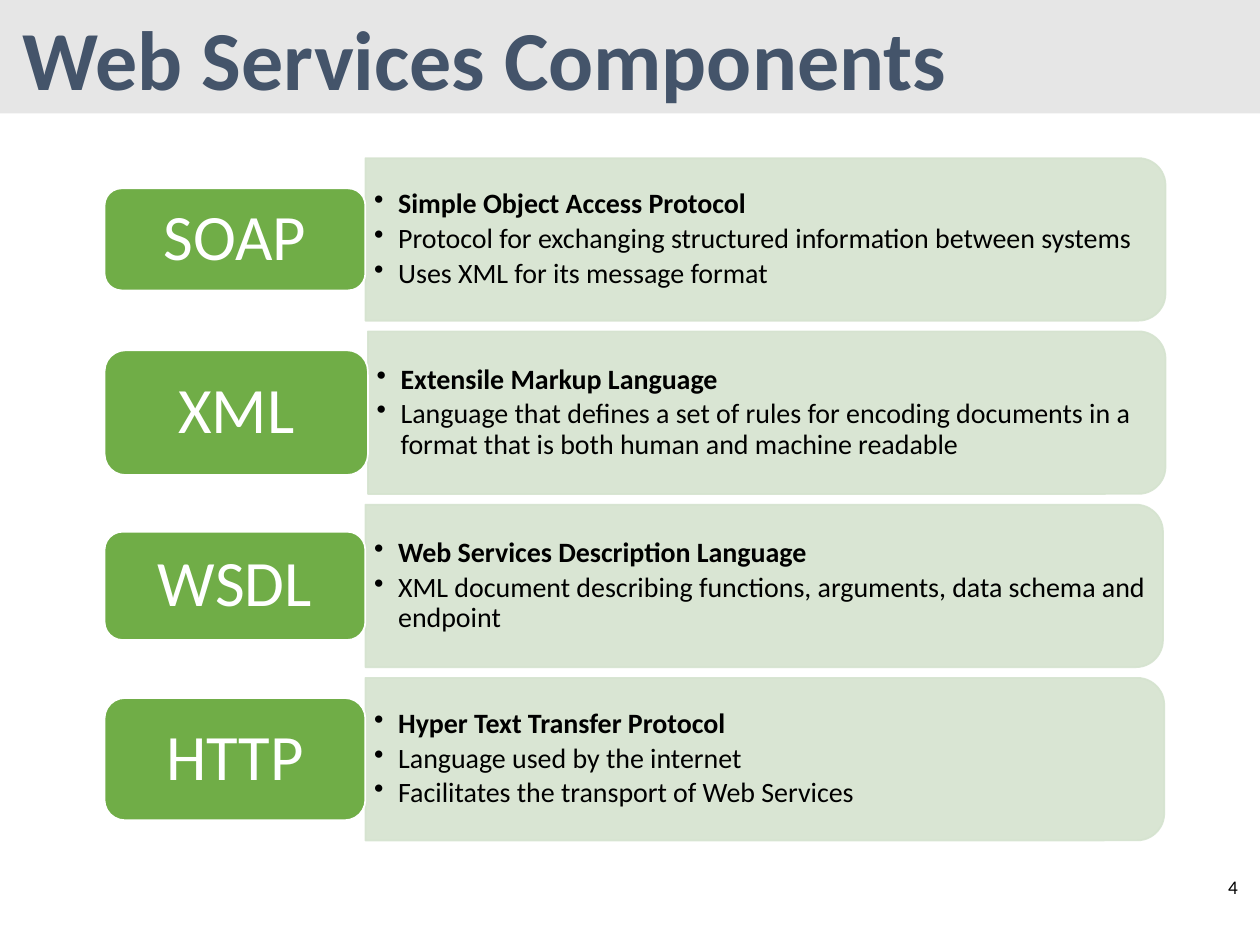
from dataclasses import dataclass

from lxml.etree import SubElement
from pptx import Presentation
from pptx.dml.color import RGBColor
from pptx.enum.shapes import MSO_SHAPE as Preset
from pptx.enum.text import MSO_ANCHOR as Anchor, PP_ALIGN as Align
from pptx.oxml.ns import qn
from pptx.util import Inches, Pt


@dataclass(frozen=True)
class Theme:
    """Colours, font and type sizes of the slide."""
    font: str = "Calibri"
    band: str = "E6E6E6"
    title: str = "44546A"
    panel: str = "D5E3CF"
    label: str = "70AD47"
    white: str = "FFFFFF"
    black: str = "000000"
    title_size: int = 48
    label_size: int = 37
    body_size: int = 16
    number_size: int = 11


THEME = Theme()
FIRST_CENTRE = 1.9
ROW_PITCH = 1.375
PANEL_HEIGHT = 1.29
LABEL_LEFT = 0.83
COMPONENTS = [
    ("SOAP", 0.81, 2.9, 6.35, [
        "Simple Object Access Protocol",
        "Protocol for exchanging structured information between systems",
        "Uses XML for its message format"]),
    ("XML", 0.99, 2.92, 6.33, [
        "Extensile Markup Language",
        "Language that defines a set of rules for encoding documents in a "
        "format that is both human and machine readable"]),
    ("WSDL", 0.86, 2.9, 6.33, [
        "Web Services Description Language",
        "XML document describing functions, arguments, data schema and endpoint"]),
    ("HTTP", 0.97, 2.9, 6.34, [
        "Hyper Text Transfer Protocol",
        "Language used by the internet",
        "Facilitates the transport of Web Services"]),
]


def add_text(paragraph, text, size, color, bold=False):
    """Add one styled run to a paragraph."""
    run = paragraph.add_run()
    run.text = text
    run.font.name = THEME.font
    run.font.size = Pt(size)
    run.font.bold = bold
    run.font.color.rgb = RGBColor.from_string(color)


def prepare_frame(shape, anchor, horizontal=0.1, vertical=0.05):
    """Set wrapping, anchor and insets, and return the text frame."""
    frame = shape.text_frame
    frame.word_wrap = True
    frame.vertical_anchor = anchor
    frame.margin_left = frame.margin_right = Inches(horizontal)
    frame.margin_top = frame.margin_bottom = Inches(vertical)
    return frame


def add_box(slide, preset, box, fill, line=None):
    """Add a filled preset shape with an optional one-point outline."""
    shape = slide.shapes.add_shape(preset, *map(Inches, box))
    shape.shadow.inherit = False
    shape.fill.solid()
    shape.fill.fore_color.rgb = RGBColor.from_string(fill)
    if line:
        shape.line.color.rgb = RGBColor.from_string(line)
        shape.line.width = Pt(1)
    else:
        shape.line.fill.background()
    return shape


def add_title(slide, box):
    """Place the grey band and the title on it."""
    left, top, width, height = box
    add_box(slide, Preset.RECTANGLE, box, THEME.band)
    title = slide.shapes.add_textbox(
        Inches(left + 0.08), Inches(top), Inches(width - 2), Inches(height - 0.07))
    frame = prepare_frame(title, Anchor.TOP)
    add_text(frame.paragraphs[0], "Web Services Components",
             THEME.title_size, THEME.title, bold=True)


def add_panel(slide, box):
    """Place a pale panel whose right-hand corners are rounded."""
    left, top, width, height = box
    upright = (left + (width - height) / 2, top + (height - width) / 2, height, width)
    panel = add_box(slide, Preset.ROUND_2_SAME_RECTANGLE, upright, THEME.panel, THEME.panel)
    panel.rotation = 90
    for color in panel._element.spPr.iter(qn("a:srgbClr")):
        SubElement(color, qn("a:alpha"), val="90000")


def add_bullets(slide, box, items):
    """Place a bulleted list whose first item is bold."""
    shape = slide.shapes.add_textbox(*map(Inches, box))
    frame = prepare_frame(shape, Anchor.MIDDLE, 0.07, 0.03)
    for index, item in enumerate(items):
        paragraph = frame.add_paragraph() if index else frame.paragraphs[0]
        paragraph.line_spacing = 0.9
        paragraph.space_after = Pt(2.6)
        properties = paragraph._p.get_or_add_pPr()
        properties.set("marL", str(Inches(0.19)))
        properties.set("indent", str(Inches(-0.19)))
        SubElement(properties, qn("a:buChar"), char="•")
        add_text(paragraph, item, THEME.body_size, THEME.black, bold=index == 0)


def add_label(slide, box, text):
    """Place a green rounded label with its name."""
    label = add_box(slide, Preset.ROUNDED_RECTANGLE, box, THEME.label, THEME.white)
    paragraph = prepare_frame(label, Anchor.MIDDLE, 0.15, 0.08).paragraphs[0]
    paragraph.alignment = Align.CENTER
    paragraph.line_spacing = 0.9
    add_text(paragraph, text, THEME.label_size, THEME.white)


def add_component(slide, box, name, label_height, items):
    """Place one component row: the panel, its bullets and its label."""
    left, top, width, height = box
    centre = top + height / 2
    add_panel(slide, box)
    add_bullets(slide, (left, top + 0.06, width - 0.06, height - 0.12), items)
    add_label(slide, (LABEL_LEFT, centre - label_height / 2,
                      left - LABEL_LEFT, label_height), name)


def add_page_number(slide, box):
    """Place the page number."""
    shape = slide.shapes.add_textbox(*map(Inches, box))
    paragraph = prepare_frame(shape, Anchor.MIDDLE).paragraphs[0]
    paragraph.alignment = Align.CENTER
    add_text(paragraph, "4", THEME.number_size, THEME.black)


def main():
    """Build and save the slide."""
    presentation = Presentation()
    presentation.slide_width = Inches(10)
    presentation.slide_height = Inches(7.5)
    slide = presentation.slides.add_slide(presentation.slide_layouts[6])
    add_title(slide, (0, 0, 10, 0.9))
    for row, (name, label_height, left, width, items) in enumerate(COMPONENTS):
        top = FIRST_CENTRE + row * ROW_PITCH - PANEL_HEIGHT / 2
        add_component(slide, (left, top, width, PANEL_HEIGHT), name, label_height, items)
    add_page_number(slide, (9.57, 6.84, 0.43, 0.4))
    presentation.save("out.pptx")


if __name__ == "__main__":
    main()
